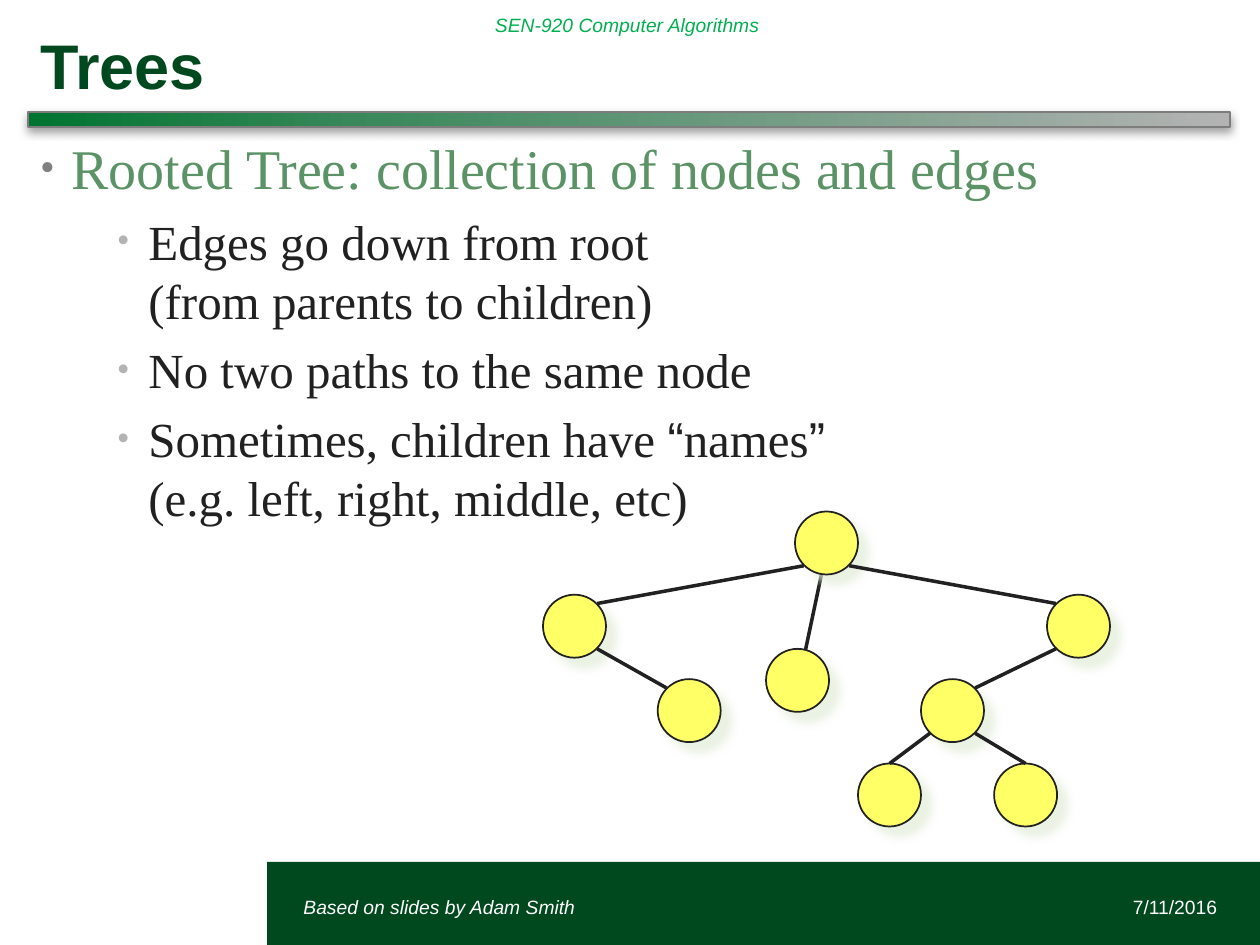
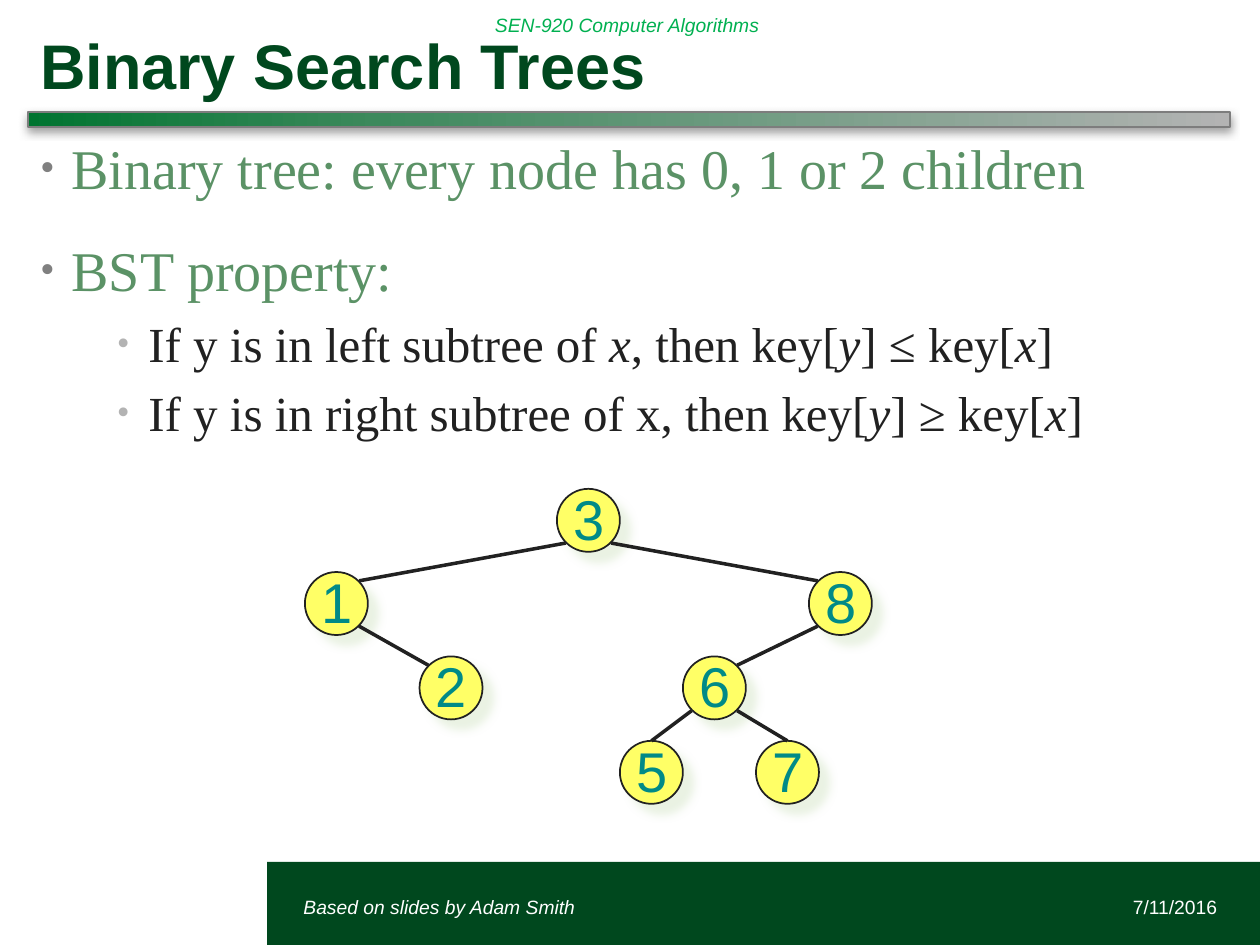
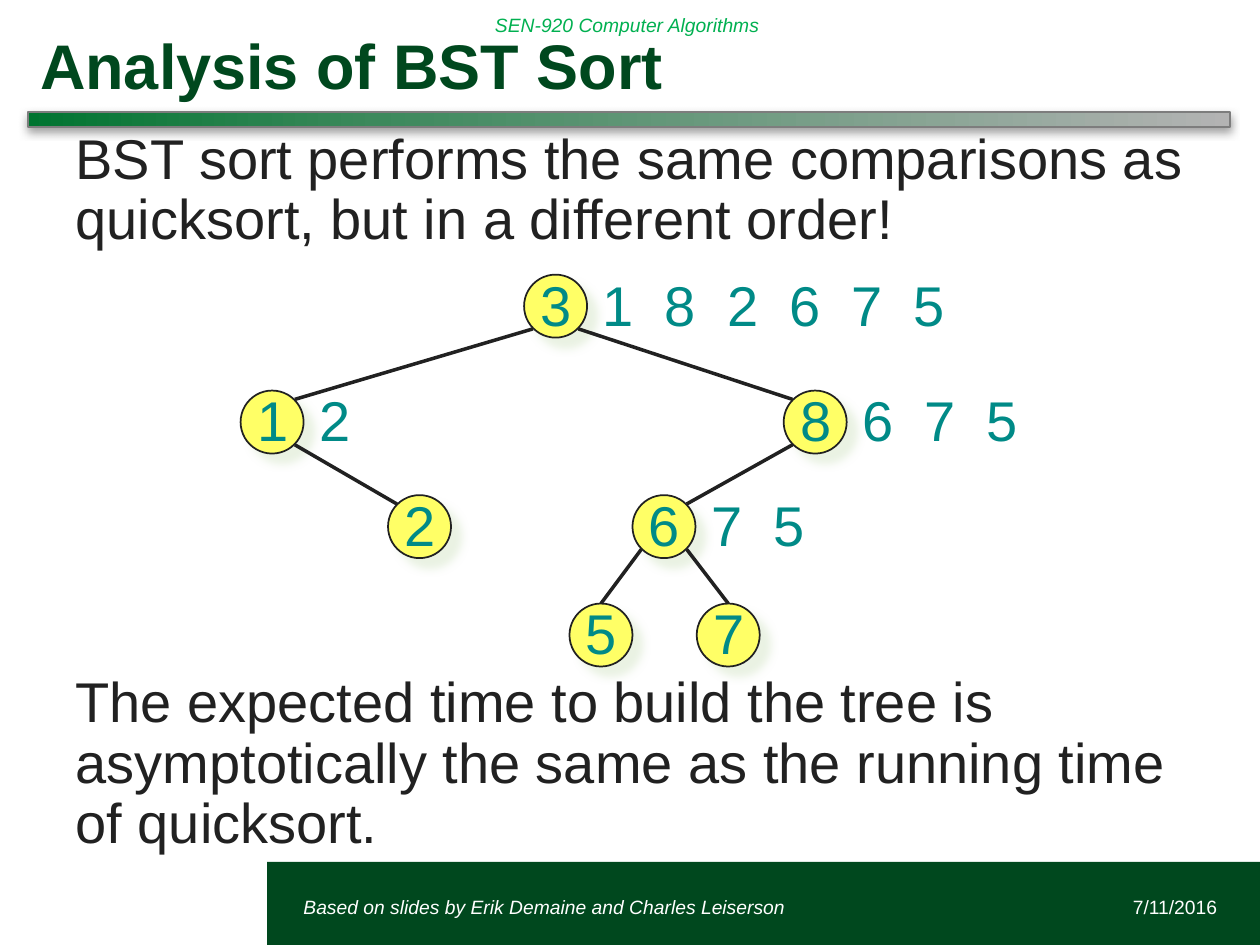
from lxml.etree import SubElement
from pptx import Presentation
from pptx.dml.color import RGBColor
from pptx.enum.shapes import MSO_CONNECTOR, MSO_SHAPE
from pptx.enum.text import MSO_ANCHOR, PP_ALIGN
from pptx.oxml.ns import qn
from pptx.util import Inches, Pt

COLORS = {
    "dark_green": "00481E", "course": "00B050", "heading": "5B9266",
    "ink": "212121", "key": "008A87", "node": "FFFF66", "white": "FFFFFF",
    "node_shadow": "E4EFDB", "rule_shadow": "808080", "rule_line": "7D7D7D",
    "bullet": "808080", "sub_bullet": "B3B3B3",
}
RULE_STOPS = [(0, "007430"), (29, "3C895C"), (100, "B3B3B3")]
SANS, SERIF = "Arial", "Times New Roman"
BODY_INSETS = (0.1, 0.05, 0.14, 0.05)
FLUSH_INSETS = (0.04, 0, 0.04, 0)
LEVELS = [
    {"margin": 0.25, "before": 20, "bullet": "bullet", "size": 32, "color": "heading"},
    {"margin": 0.86, "before": 6, "bullet": "sub_bullet", "size": 28, "color": "ink"},
]

NODE_SIZE = 0.5
CORNER = 0.07
KEY_PITCH = 0.5
KEY_TRACKING = 4.45
PARENTS = {"1": "3", "8": "3", "2": "1", "6": "8", "5": "6", "7": "6"}
LEAVES_JOINED_AT_TOP = ("5", "7")
TREE = {"3": (0, 0), "1": (-2, 0.66), "8": (2, 0.66), "2": (-1.09, 1.33),
        "6": (1, 1.33), "5": (0.5, 2), "7": (1.58, 2)}
WIDE_TREE = {"3": (0, 0), "1": (-2.25, 0.92), "8": (2.06, 0.92), "2": (-1.08, 1.75),
             "6": (0.86, 1.75), "5": (0.36, 2.61), "7": (1.37, 2.61)}
SINGLE_KEYS = {key: key for key in TREE}
ARRIVING_KEYS = {**SINGLE_KEYS, "3": "3 1 8 2 6 7 5", "1": "1 2", "8": "8 6 7 5", "6": "6 7 5"}


def rgb(name):
    """Return the named colour."""
    return RGBColor.from_string(COLORS[name])


def add_run(paragraph, text, size, color, font=SANS, bold=False, italic=False):
    """Append one formatted run, or a line break for a newline."""
    if text == "\n":
        paragraph.add_line_break()
        return
    run = paragraph.add_run()
    run.text = text
    run.font.size = Pt(size)
    run.font.name = font
    run.font.bold = bold
    run.font.italic = italic
    run.font.color.rgb = rgb(color)


def add_frame(slide, box, insets=(0.1, 0.05, 0.1, 0.05), anchor=MSO_ANCHOR.TOP):
    """Add a wrapping text box and return its text frame."""
    frame = slide.shapes.add_textbox(*map(Inches, box)).text_frame
    frame.word_wrap = True
    frame.vertical_anchor = anchor
    frame.margin_left, frame.margin_top, frame.margin_right, frame.margin_bottom = map(Inches, insets)
    return frame


def add_line_of_text(slide, box, text, size, color, align=PP_ALIGN.LEFT, bold=False,
                     italic=False, **frame_options):
    """Add a text box with one run and return its paragraph."""
    paragraph = add_frame(slide, box, **frame_options).paragraphs[0]
    paragraph.alignment = align
    add_run(paragraph, text, size, color, bold=bold, italic=italic)
    return paragraph


def add_shadow(shape, color, blur, distance, angle):
    """Give a shape an outer shadow at 75% opacity."""
    shape.shadow.inherit = False
    effects = shape._element.spPr.find(qn("a:effectLst"))
    shadow = SubElement(effects, qn("a:outerShdw"), blurRad=str(Pt(blur)), dist=str(Pt(distance)),
                        dir=str(angle * 60000), algn="ctr", rotWithShape="0")
    shade = SubElement(shadow, qn("a:srgbClr"), val=COLORS[color])
    SubElement(shade, qn("a:alpha"), val="75000")


def add_title_rule(slide):
    """Add the gradient bar below the title."""
    rule = slide.shapes.add_shape(MSO_SHAPE.RECTANGLE, *map(Inches, (0.22, 0.89, 9.54, 0.12)))
    rule.fill.gradient()
    rule.fill.gradient_angle = 0
    stops = next(rule._element.spPr.iter(qn("a:gsLst")))
    stops.clear()
    for position, color in RULE_STOPS:
        stop = SubElement(stops, qn("a:gs"), pos=str(position * 1000))
        SubElement(stop, qn("a:srgbClr"), val=color)
    rule.line.color.rgb = rgb("rule_line")
    rule.line.width = Pt(1)
    add_shadow(rule, "rule_shadow", 5, 2, 90)


def add_base_slide(presentation, title, credit):
    """Add a slide with the course header, title, rule and footer band."""
    slide = presentation.slides.add_slide(presentation.slide_layouts[6])
    band = slide.shapes.add_shape(MSO_SHAPE.RECTANGLE, *map(Inches, (2.12, 6.84, 7.88, 0.66)))
    band.shadow.inherit = False
    band.fill.solid()
    band.fill.fore_color.rgb = rgb("dark_green")
    band.line.fill.background()
    middle = MSO_ANCHOR.MIDDLE
    add_line_of_text(slide, (3.83, 0, 4.61, 0.4), "SEN-920 Computer Algorithms", 11, "course",
                     italic=True, anchor=middle)
    add_title_rule(slide)
    add_line_of_text(slide, (0.22, 0.16, 9.54, 0.73), title, 36, "dark_green", bold=True,
                     insets=BODY_INSETS)
    add_line_of_text(slide, (7.43, 7, 2.33, 0.4), "7/11/2016", 11, "white",
                     align=PP_ALIGN.RIGHT, anchor=middle)
    add_line_of_text(slide, (2.31, 7, 4.61, 0.4), credit, 11, "white", italic=True, anchor=middle)
    return slide


def add_bullets(slide, items):
    """Add the body from (level, runs) items; a run is text or (text, options)."""
    frame = add_frame(slide, (0.22, 1.01, 9.54, 5.69), insets=BODY_INSETS)
    for index, (level, runs) in enumerate(items):
        style = LEVELS[level]
        paragraph = frame.add_paragraph() if index else frame.paragraphs[0]
        paragraph.level = level
        paragraph.space_before = Pt(style["before"])
        properties = paragraph._p.get_or_add_pPr()
        properties.set("marL", str(Inches(style["margin"])))
        properties.set("indent", str(Inches(-0.25)))
        bullet_color = SubElement(properties, qn("a:buClr"))
        SubElement(bullet_color, qn("a:srgbClr"), val=COLORS[style["bullet"]])
        SubElement(properties, qn("a:buSzPct"), val="75000")
        SubElement(properties, qn("a:buFont"), typeface=SERIF)
        SubElement(properties, qn("a:buChar"), char="•")
        for run in runs:
            text, options = (run, {}) if isinstance(run, str) else run
            add_run(paragraph, text, style["size"], style["color"], **{"font": SERIF, **options})


def add_edge(slide, start, end):
    """Draw a tree edge between two points."""
    edge = slide.shapes.add_connector(MSO_CONNECTOR.STRAIGHT, *map(Inches, start + end))
    edge.line.color.rgb = rgb("ink")
    edge.line.width = Pt(2)
    SubElement(edge._element.spPr, qn("a:effectLst"))


def add_node(slide, left, top):
    """Draw a tree node."""
    node = slide.shapes.add_shape(MSO_SHAPE.OVAL, *map(Inches, (left, top, NODE_SIZE, NODE_SIZE)))
    node.fill.solid()
    node.fill.fore_color.rgb = rgb("node")
    node.line.color.rgb = rgb("ink")
    node.line.width = Pt(1)
    add_shadow(node, "node_shadow", 5, 8, 45)


def add_keys(slide, left, top, keys):
    """Write keys on one line, the first centred in the node at the given place."""
    width = KEY_PITCH * len(keys.split()) + 0.1
    paragraph = add_line_of_text(slide, (left + 0.09, top - 0.02, width, NODE_SIZE), keys, 32,
                                 "key", insets=FLUSH_INSETS, anchor=MSO_ANCHOR.MIDDLE)
    if " " in keys:
        paragraph.runs[0].font._element.set("spc", str(int(KEY_TRACKING * 100)))


def add_tree(slide, left, top, offsets, keys_at=None):
    """Draw the tree with its root at the given place, and its keys if given."""
    places = {key: (left + x, top + y) for key, (x, y) in offsets.items()}
    near, far = CORNER, NODE_SIZE - CORNER
    for key, (x, y) in places.items():
        add_node(slide, x, y)
        if keys_at:
            add_keys(slide, x, y, keys_at[key])
        if key not in PARENTS:
            continue
        parent_x, parent_y = places[PARENTS[key]]
        goes_right = x > parent_x
        start = (parent_x + (far if goes_right else near), parent_y + far)
        if key in LEAVES_JOINED_AT_TOP:
            end = (x + NODE_SIZE / 2, y)
        else:
            end = (x + (near if goes_right else far), y + near)
        add_edge(slide, start, end)


def add_statement(slide, top, text):
    """Add a large statement across the slide."""
    paragraph = add_line_of_text(slide, (0.56, top, 8.89, 1.08), text, 32, "ink",
                                 insets=FLUSH_INSETS)
    paragraph.line_spacing = 0.9


def build_trees(presentation):
    """Build the slide on rooted trees."""
    slide = add_base_slide(presentation, "Trees", "Based on slides by Adam Smith")
    sans = {"font": SANS}
    add_bullets(slide, [
        (0, ["Rooted Tree: collection of nodes and edges"]),
        (1, ["Edges go down from root", "\n", "(from parents to children)"]),
        (1, ["No two paths to the same node"]),
        (1, ["Sometimes, children have ", ("“", sans), "names", ("”", sans), "\n",
             "(e.g. left, right, middle, etc)"]),
    ])
    add_edge(slide, (6.53, 4.51), (6.38, 5.22))
    add_tree(slide, 6.31, 4.06, TREE)
    add_node(slide, 6.08, 5.15)


def build_search_trees(presentation):
    """Build the slide on binary search trees."""
    slide = add_base_slide(presentation, "Binary Search Trees", "Based on slides by Adam Smith")
    x, y = ("x", {"italic": True}), ("y", {"italic": True})
    add_bullets(slide, [
        (0, ["Binary tree: every node has 0, 1 or 2 children"]),
        (0, ["BST property:"]),
        (1, ["If y is in left subtree of ", x, ", then key[", y, "] ≤ key[", x, "]"]),
        (1, ["If y is in right subtree of x, then key[", y, "] ≥ key[", x, "]"]),
    ])
    add_tree(slide, 4.42, 3.88, TREE, SINGLE_KEYS)


def build_analysis(presentation):
    """Build the slide that compares BST sort with quicksort."""
    slide = add_base_slide(presentation, "Analysis of BST Sort",
                           "Based on slides by Erik Demaine and Charles Leiserson")
    add_statement(slide, 1.04, "BST sort performs the same comparisons as quicksort, "
                               "but in a different order!")
    add_tree(slide, 4.16, 2.18, WIDE_TREE, ARRIVING_KEYS)
    add_statement(slide, 5.35, "The expected time to build the tree is asymptotically "
                               "the same as the running time of quicksort.")


def main():
    """Build and save the presentation."""
    presentation = Presentation()
    presentation.slide_width = Inches(10)
    presentation.slide_height = Inches(7.5)
    build_trees(presentation)
    build_search_trees(presentation)
    build_analysis(presentation)
    presentation.save("out.pptx")


if __name__ == "__main__":
    main()
